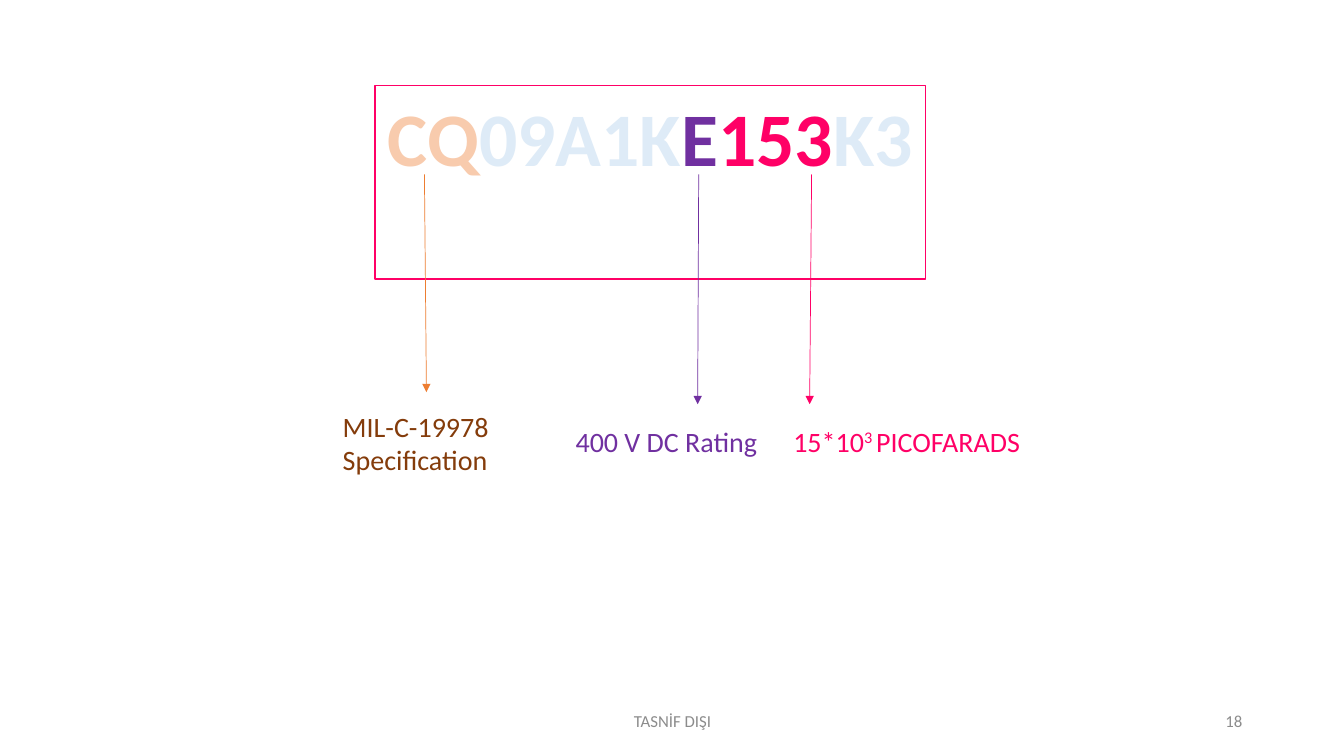
import pptx
import pptx.util
import pptx.dml.color
import pptx.enum.shapes
import pptx.enum.text
import pptx.oxml.ns
import lxml.etree

THEME = {
    "font": "Calibri",
    "code_size": 54, "label_size": 20, "footer_size": 12,
    "white": "FFFFFF", "peach": "F8CBAD", "orange": "ED7D31", "brown": "843C0B",
    "pale": "DEEBF7", "purple": "7030A0", "pink": "FF0066", "grey": "8C8C8C",
}
ALIGN = pptx.enum.text.PP_ALIGN
ANCHOR = pptx.enum.text.MSO_ANCHOR
qn = pptx.oxml.ns.qn

prs = pptx.Presentation()
prs.slide_width = pptx.util.Inches(13.33)
prs.slide_height = pptx.util.Inches(7.5)
s = prs.slides.add_slide(prs.slide_layouts[6])


def share(*percents):
    """Turn alternating x, y percentages of the slide into lengths."""
    sides = (prs.slide_width, prs.slide_height)
    return [round(sides[i % 2] * v / 100) for i, v in enumerate(percents)]


def write(sp, runs, size, align=ALIGN.LEFT, anchor=ANCHOR.TOP, wrap=True, bold=False):
    """Fill a shape with one paragraph of (text, colour name) runs."""
    tf = sp.text_frame
    tf.word_wrap = wrap
    tf.vertical_anchor = anchor
    p = tf.paragraphs[0]
    p.alignment = align
    for text, color in runs:
        r = p.add_run()
        r.text = text
        r.font.name = THEME["font"]
        r.font.size = pptx.util.Pt(THEME[size])
        r.font.bold = bold
        r.font.color.rgb = pptx.dml.color.RGBColor.from_string(THEME[color])
    return p


# Part number
box = s.shapes.add_shape(pptx.enum.shapes.MSO_SHAPE.RECTANGLE, *share(27.91, 11.33, 40.96, 25.6))
box.shadow.inherit = False
box.fill.solid()
box.fill.fore_color.rgb = pptx.dml.color.RGBColor.from_string(THEME["white"])
box.line.color.rgb = pptx.dml.color.RGBColor.from_string(THEME["pink"])
box.line.width = pptx.util.Pt(1)
code = [("CQ", "peach"), ("09A1K", "pale"), ("E", "purple"), ("153", "pink"), ("K3", "pale")]
write(box, code, "code_size", ALIGN.CENTER, wrap=False, bold=True)

# Arrows from code parts to their meanings
arrow_top = 23.07
arrows = [(31.58, 31.73, 51.87, "orange"), (51.99, 51.91, 53.47, "purple"),
          (60.39, 60.24, 53.47, "pink")]
for start_x, end_x, end_y, color in arrows:
    arrow = s.shapes.add_connector(pptx.enum.shapes.MSO_CONNECTOR.STRAIGHT,
                                   *share(start_x, arrow_top, end_x, end_y))
    arrow.line.color.rgb = pptx.dml.color.RGBColor.from_string(THEME[color])
    arrow.line.width = pptx.util.Pt(0.5)
    lxml.etree.SubElement(arrow.line._get_or_add_ln(), qn("a:tailEnd"), type="triangle")
    lxml.etree.SubElement(arrow._element.spPr, qn("a:effectLst"))

# Meanings
labels = [
    ((24.76, 53.47, 13.5, 10.27), ["MIL-C-19978 Specification"], "brown"),
    ((42.09, 55.47, 15.53, 5.87), ["400 V DC Rating"], "purple"),
    ((58.29, 55.47, 21.68, 5.87), ["15*10", "3 ", "PICOFARADS"], "pink"),
]
for place, texts, color in labels:
    label = s.shapes.add_textbox(*share(*place))
    p = write(label, [(text, color) for text in texts], "label_size")
exponent = p.runs[1]
exponent.font._element.set("baseline", "30000")

# Footer
footer_top, footer_height = 92.67, 5.33
for left, width, text, align in [(70.67, 22.5, "18", ALIGN.RIGHT),
                                 (33.16, 33.76, "TASNİF DIŞI", ALIGN.CENTER)]:
    footer = s.shapes.add_textbox(*share(left, footer_top, width, footer_height))
    write(footer, [(text, "grey")], "footer_size", align, ANCHOR.MIDDLE)

prs.save("out.pptx")
